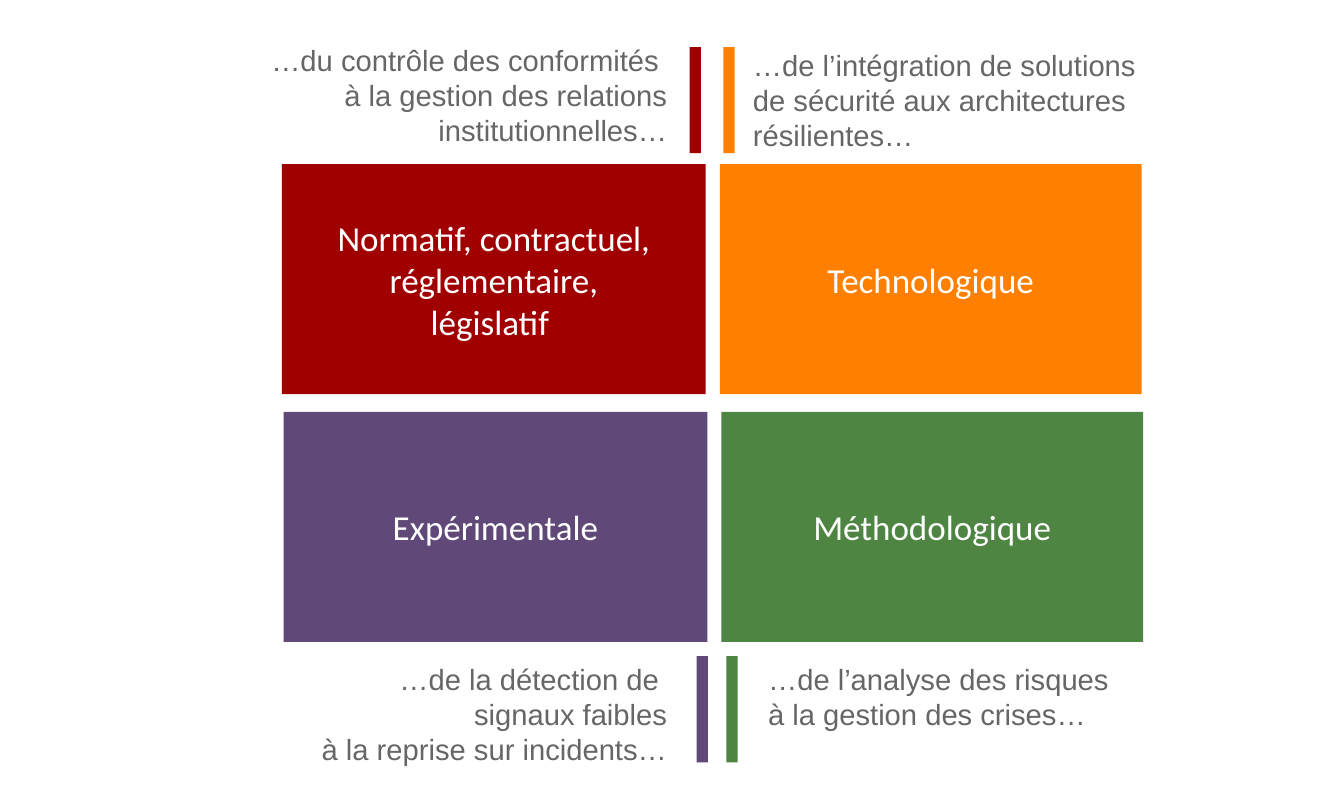
"""Build the slide of four security domains, each with its caption and colour bar."""
import dataclasses

import pptx
import pptx.dml.color
import pptx.enum.shapes
import pptx.enum.text
import pptx.util

Pt = pptx.util.Pt
ALIGN = pptx.enum.text.PP_ALIGN
ANCHOR = pptx.enum.text.MSO_ANCHOR
SHAPE = pptx.enum.shapes.MSO_SHAPE


@dataclasses.dataclass(frozen=True)
class Theme:
    red: str = "A00000"
    orange: str = "FF8000"
    purple: str = "604878"
    green: str = "4E8542"
    white: str = "FFFFFF"
    grey: str = "666666"
    block_font: str = "Calibri"
    block_size: int = 18
    caption_font: str = "Arial"
    caption_size: int = 15


class Deck:
    def __init__(self, prs, theme):
        self.theme = theme
        self.slide = prs.slides.add_slide(prs.slide_layouts[6])

    def rect(self, kind, box, color):
        sp = self.slide.shapes.add_shape(kind, *map(Pt, box))
        sp.shadow.inherit = False
        sp.fill.solid()
        sp.fill.fore_color.rgb = pptx.dml.color.RGBColor.from_string(color)
        sp.line.fill.background()
        return sp

    def set_text(self, sp, text, align, anchor, font, size, color):
        tf = sp.text_frame
        tf.word_wrap = True
        tf.vertical_anchor = anchor
        tf.margin_left = tf.margin_right = Pt(6)
        tf.margin_top = tf.margin_bottom = Pt(3)
        tf.text = text
        for p in tf.paragraphs:
            p.alignment = align
            p.font.name = font
            p.font.size = Pt(size)
            p.font.color.rgb = pptx.dml.color.RGBColor.from_string(color)

    def block(self, box, color, text):
        sp = self.rect(SHAPE.ROUNDED_RECTANGLE, box, color)
        sp.adjustments[0] = 0
        t = self.theme
        self.set_text(sp, text, ALIGN.CENTER, ANCHOR.MIDDLE,
                      t.block_font, t.block_size, t.white)

    def bar(self, left, top, color):
        self.rect(SHAPE.RECTANGLE, (left, top, 5.8, 54.6), color)

    def caption(self, box, text, align):
        sp = self.slide.shapes.add_textbox(*map(Pt, box))
        t = self.theme
        self.set_text(sp, text, align, ANCHOR.TOP,
                      t.caption_font, t.caption_size, t.grey)


def main():
    prs = pptx.Presentation()
    prs.slide_width, prs.slide_height = Pt(690.5), Pt(416.2)
    theme = Theme()
    deck = Deck(prs, theme)

    block_lefts, block_tops = (144.9, 369.8), (84.3, 211.6)
    block_widths, block_height, row_shift = (217.7, 216.7), 118.2, 0.8
    bar_tops = (24.2, 337.2)
    aligns = (ALIGN.RIGHT, ALIGN.LEFT)
    domains = [
        (0, 0, theme.red, "Normatif, contractuel, réglementaire,\nlégislatif ",
         354.3, (131.8, 18.6, 217, 60.5),
         "…du contrôle des conformités \và la gestion des relations institutionnelles…"),
        (0, 1, theme.orange, "Technologique",
         371.6, (380.8, 21.4, 223, 60.5),
         "…de l’intégration de solutions de sécurité aux architectures résilientes…"),
        (1, 0, theme.purple, "Expérimentale",
         357.9, (147.6, 337, 201.2, 60.5),
         "…de la détection de \vsignaux faibles\và la reprise sur incidents…"),
        (1, 1, theme.green, "Méthodologique",
         373.2, (388.6, 337, 198, 42),
         "…de l’analyse des risques\và la gestion des crises…"),
    ]
    for row, col, color, name, bar_left, caption_box, caption in domains:
        left = block_lefts[col] + row * row_shift
        deck.block((left, block_tops[row], block_widths[col], block_height), color, name)
        deck.caption(caption_box, caption, aligns[col])
        deck.bar(bar_left, bar_tops[row], color)

    prs.save("out.pptx")


if __name__ == "__main__":
    main()
